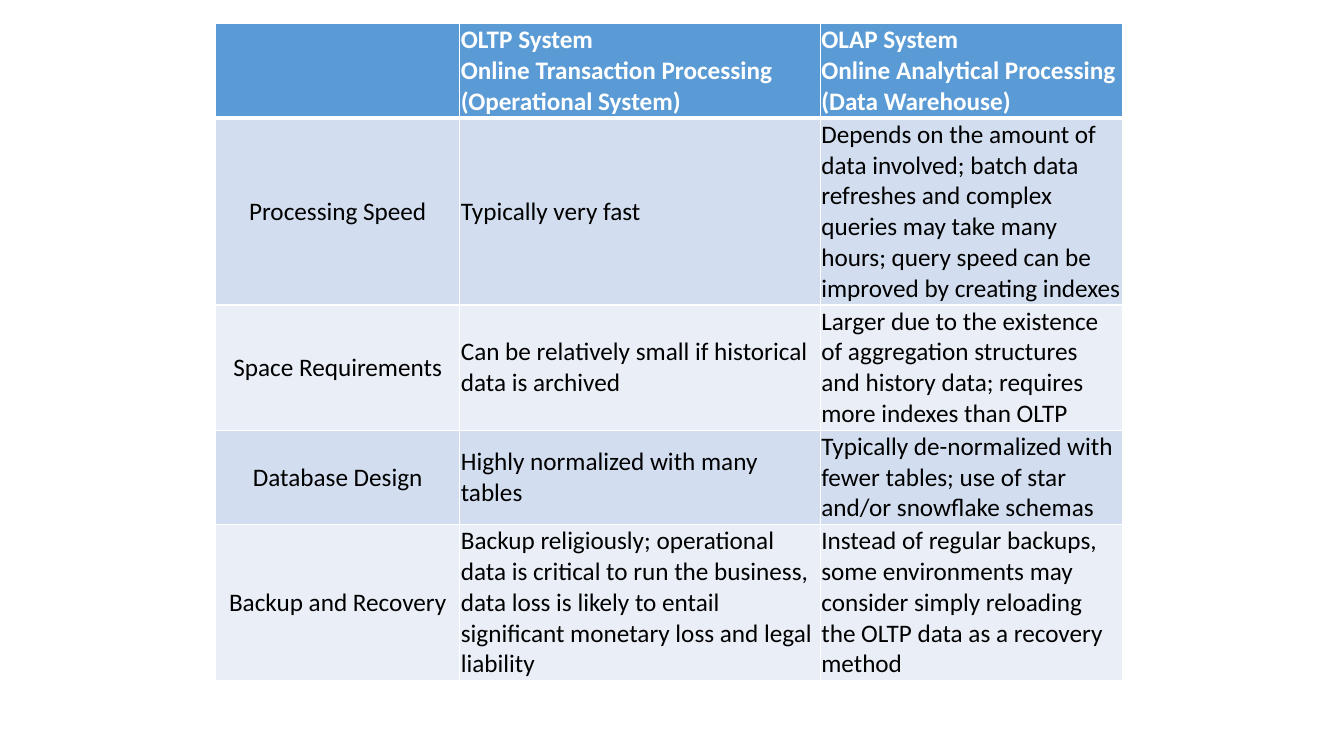
from lxml.etree import SubElement
from pptx import Presentation
from pptx.dml.color import RGBColor
from pptx.enum.text import MSO_ANCHOR, PP_ALIGN
from pptx.oxml.ns import qn
from pptx.util import Pt

# Content
HEADER = (
    "",
    "OLTP System\vOnline Transaction Processing\v(Operational System)",
    "OLAP System\vOnline Analytical Processing\v(Data Warehouse)",
)
BODY = [
    ("Processing Speed",
     "Typically very fast",
     "Depends on the amount of data involved; batch data refreshes and complex "
     "queries may take many hours; query speed can be improved by creating indexes"),
    ("Space Requirements",
     "Can be relatively small if historical data is archived",
     "Larger due to the existence of aggregation structures and history data; "
     "requires more indexes than OLTP"),
    ("Database Design",
     "Highly normalized with many tables",
     "Typically de-normalized with fewer tables; use of star and/or snowflake schemas"),
    ("Backup and Recovery",
     "Backup religiously; operational data is critical to run the business, data loss "
     "is likely to entail significant monetary loss and legal liability",
     "Instead of regular backups, some environments may consider simply reloading "
     "the OLTP data as a recovery method"),
]
ROWS = [HEADER, *BODY]
LINES_PER_ROW = (3, 6, 4, 3, 5)

# Theme and geometry, in points
THEME = {
    "font": "Calibri", "size": 18, "border": "FFFFFF",
    "header": {"fill": "5B9BD5", "text": "FFFFFF"},
    "bands": ("D2DEEF", "EAEFF7"), "text": "000000",
}
LEFT, TOP = 154, 17
COL_WIDTHS = (174.5, 257.5, 216)
LINE_HEIGHT, INSET = 22, 0.72


def add_border(cell, side, width):
    ln = SubElement(cell._tc.get_or_add_tcPr(), qn(f"a:ln{side}"), w=str(Pt(width)))
    SubElement(SubElement(ln, qn("a:solidFill")), qn("a:srgbClr"), val=THEME["border"])


def format_cell(cell, text, row, col):
    is_header = row == 0
    fill = THEME["header"]["fill"] if is_header else THEME["bands"][(row - 1) % 2]
    color = THEME["header"]["text"] if is_header else THEME["text"]

    # Borders, then fill: the order the cell properties need
    for side in "LRTB":
        add_border(cell, side, 3 if is_header and side == "B" else 1)
    cell.fill.solid()
    cell.fill.fore_color.rgb = RGBColor.from_string(fill)

    cell.vertical_anchor = MSO_ANCHOR.MIDDLE
    for edge in ("left", "right", "top", "bottom"):
        setattr(cell, f"margin_{edge}", Pt(INSET))

    # Text
    p = cell.text_frame.paragraphs[0]
    p.text = text
    p.alignment = PP_ALIGN.CENTER if col == 0 else PP_ALIGN.LEFT
    font_format = {"name": THEME["font"], "size": Pt(THEME["size"]), "bold": is_header}
    for r in p.runs:
        for name, value in font_format.items():
            setattr(r.font, name, value)
        r.font.color.rgb = RGBColor.from_string(color)


def main():
    prs = Presentation()
    prs.slide_width, prs.slide_height = Pt(960), Pt(540)
    s = prs.slides.add_slide(prs.slide_layouts[6])

    # Comparison table
    heights = [n * LINE_HEIGHT + 2 * INSET for n in LINES_PER_ROW]
    table = s.shapes.add_table(len(ROWS), len(COL_WIDTHS), Pt(LEFT), Pt(TOP),
                               Pt(sum(COL_WIDTHS)), Pt(sum(heights))).table
    for column, width in zip(table.columns, COL_WIDTHS):
        column.width = Pt(width)
    for row, (texts, height) in enumerate(zip(ROWS, heights)):
        table.rows[row].height = Pt(height)
        for col, text in enumerate(texts):
            format_cell(table.cell(row, col), text, row, col)

    prs.save("out.pptx")


if __name__ == "__main__":
    main()
